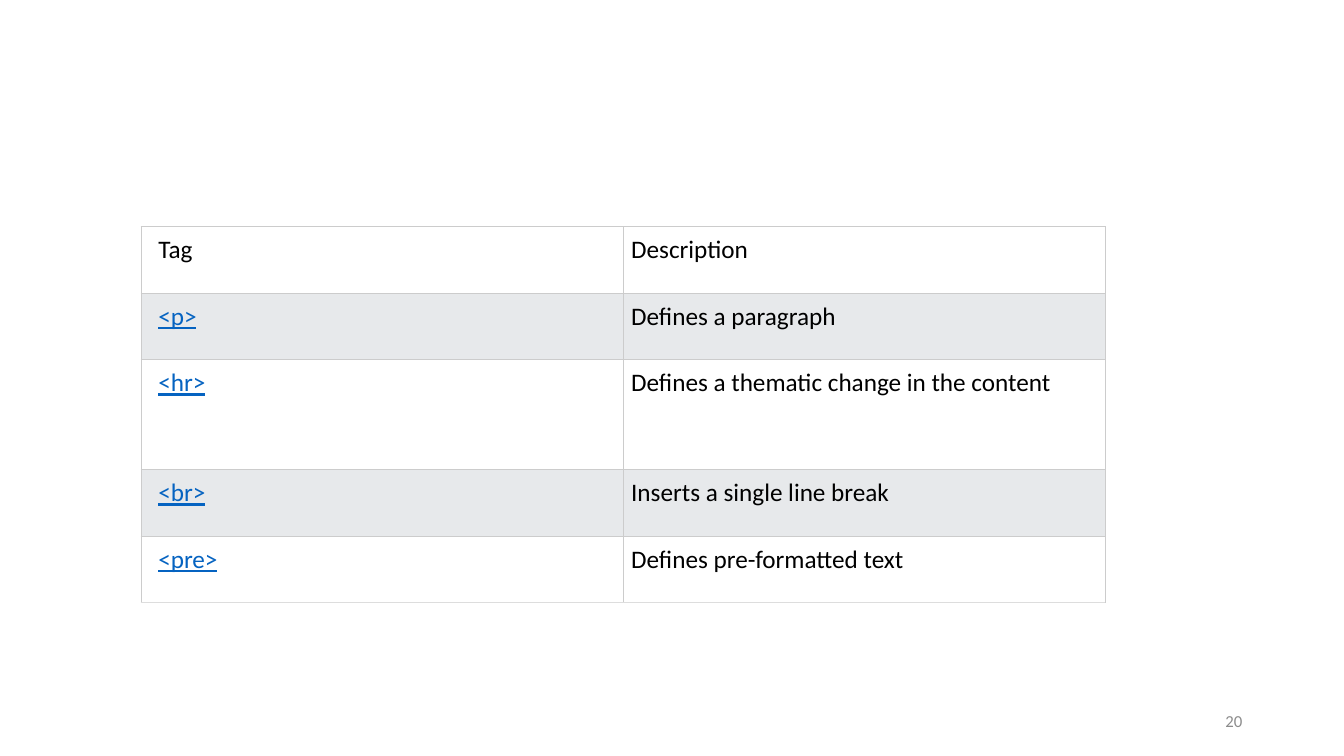
from lxml import etree
from pptx import Presentation, util as u
from pptx.dml.color import RGBColor
from pptx.enum import text
from pptx.oxml.ns import qn

PX = 9144  # EMU per px, 100 px to the inch
BLACK = RGBColor(0x00, 0x00, 0x00)
WHITE = RGBColor(0xFF, 0xFF, 0xFF)
BAND = RGBColor(0xE7, 0xE9, 0xEB)
LINK = RGBColor(0x05, 0x63, 0xC1)
GREY = RGBColor(0x8C, 0x8C, 0x8C)
BORDER = RGBColor(0xCC, 0xCC, 0xCC)
BOTTOM = RGBColor(0xDD, 0xDD, 0xDD)

ROWS = [
    ("Tag", "Description"),
    ("<p>", "Defines a paragraph"),
    ("<hr>", "Defines a thematic change in the content"),
    ("<br>", "Inserts a single line break"),
    ("<pre>", "Defines pre-formatted text"),
]
ROW_HEIGHTS = [66, 66, 109, 66, 66]
COL_WIDTH = 478


def px(n):
    return u.Emu(n * PX)


def write(tf, words, size=18, color=BLACK, underline=False, align=None):
    p = tf.paragraphs[0]
    p.alignment = align
    r = p.add_run()
    r.text = words
    r.font.name = "Calibri"
    r.font.size = u.Pt(size)
    r.font.color.rgb = color
    r.font.underline = underline


def set_borders(cell, bottom):
    """Draw all four cell edges; they must precede the fill in tcPr."""
    tc_pr = cell._tc.get_or_add_tcPr()
    edges = [("lnL", BORDER), ("lnR", BORDER), ("lnT", BORDER), ("lnB", bottom)]
    for i, (edge, color) in enumerate(edges):
        ln = etree.Element(qn(f"a:{edge}"), w=str(u.Pt(0.75)))
        fill = etree.SubElement(ln, qn("a:solidFill"))
        etree.SubElement(fill, qn("a:srgbClr"), val=str(color))
        tc_pr.insert(i, ln)


def add_tag_table(s, left, top):
    frame = s.shapes.add_table(len(ROWS), 2, px(left), px(top),
                               px(2 * COL_WIDTH), px(sum(ROW_HEIGHTS)))
    table = frame.table
    for col in table.columns:
        col.width = px(COL_WIDTH)
    for i, (words, height) in enumerate(zip(ROWS, ROW_HEIGHTS)):
        table.rows[i].height = px(height)
        for j, word in enumerate(words):
            cell = table.cell(i, j)
            cell.margin_left = px(8 if j else 17)
            cell.margin_top = cell.margin_right = cell.margin_bottom = px(8)
            cell.fill.solid()
            cell.fill.fore_color.rgb = BAND if i % 2 else WHITE
            set_borders(cell, BOTTOM if i == len(ROWS) - 1 else BORDER)
            is_link = i > 0 and j == 0
            write(cell.text_frame, word, color=LINK if is_link else BLACK,
                  underline=is_link)


def add_page_number(s, number):
    tf = s.shapes.add_textbox(px(942), px(695), px(300), px(40)).text_frame
    tf.word_wrap = True
    tf.vertical_anchor = text.MSO_ANCHOR.MIDDLE
    write(tf, number, size=12, color=GREY, align=text.PP_ALIGN.RIGHT)


def main():
    prs = Presentation()
    prs.slide_width, prs.slide_height = px(1333), px(750)
    s = prs.slides.add_slide(prs.slide_layouts[6])
    add_tag_table(s, 140, 225)
    add_page_number(s, "20")
    prs.save("out.pptx")


if __name__ == "__main__":
    main()
